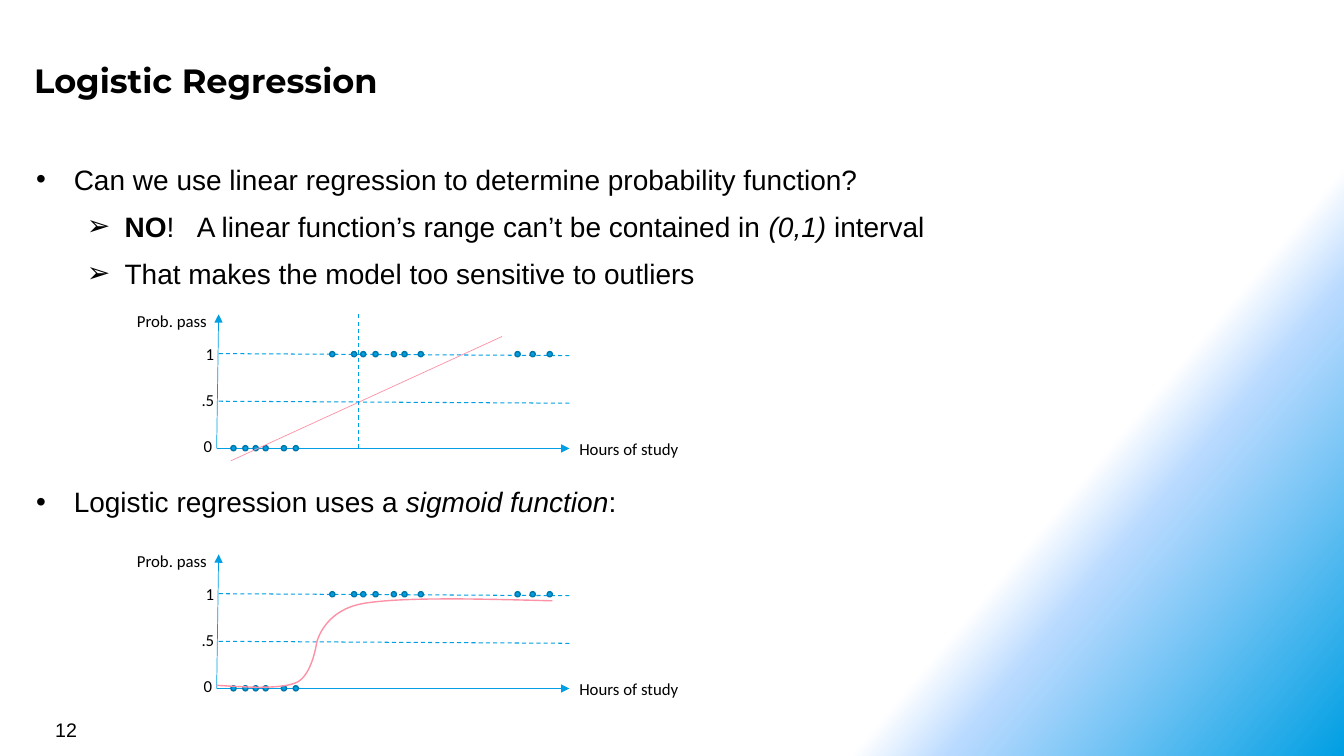
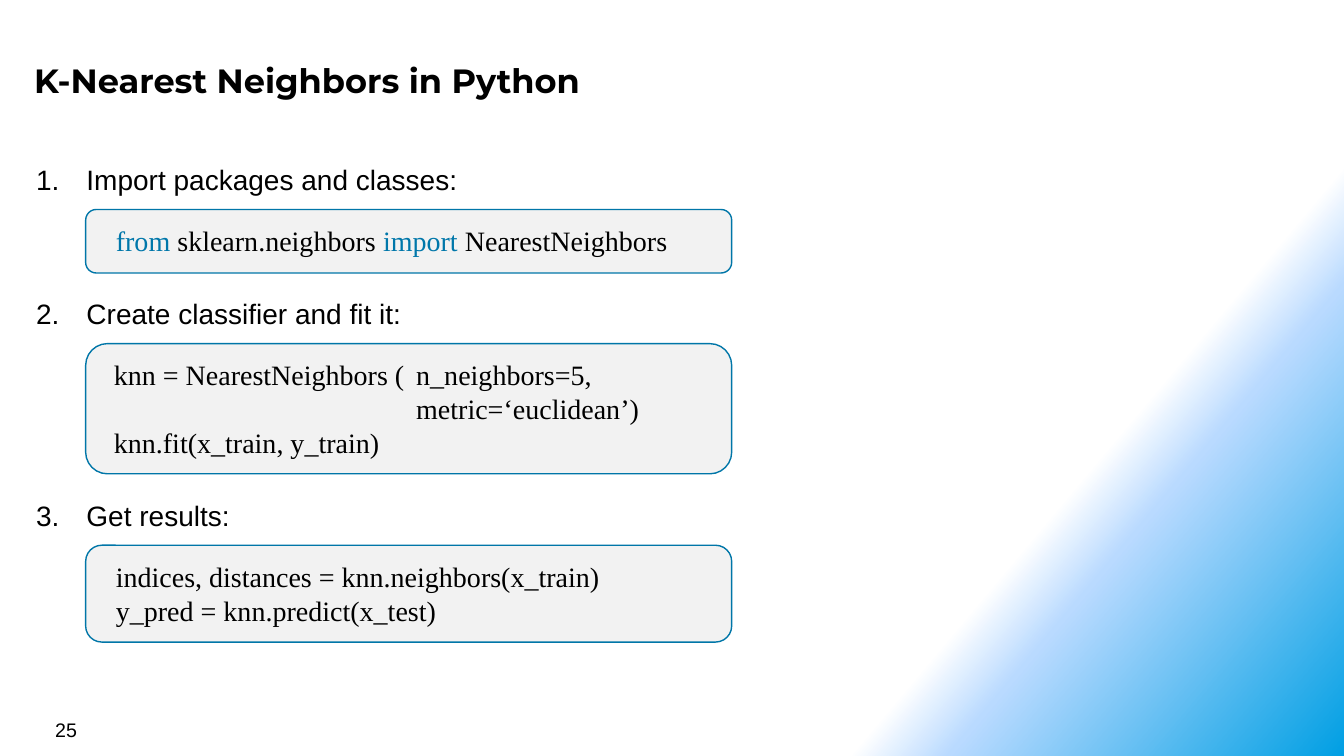
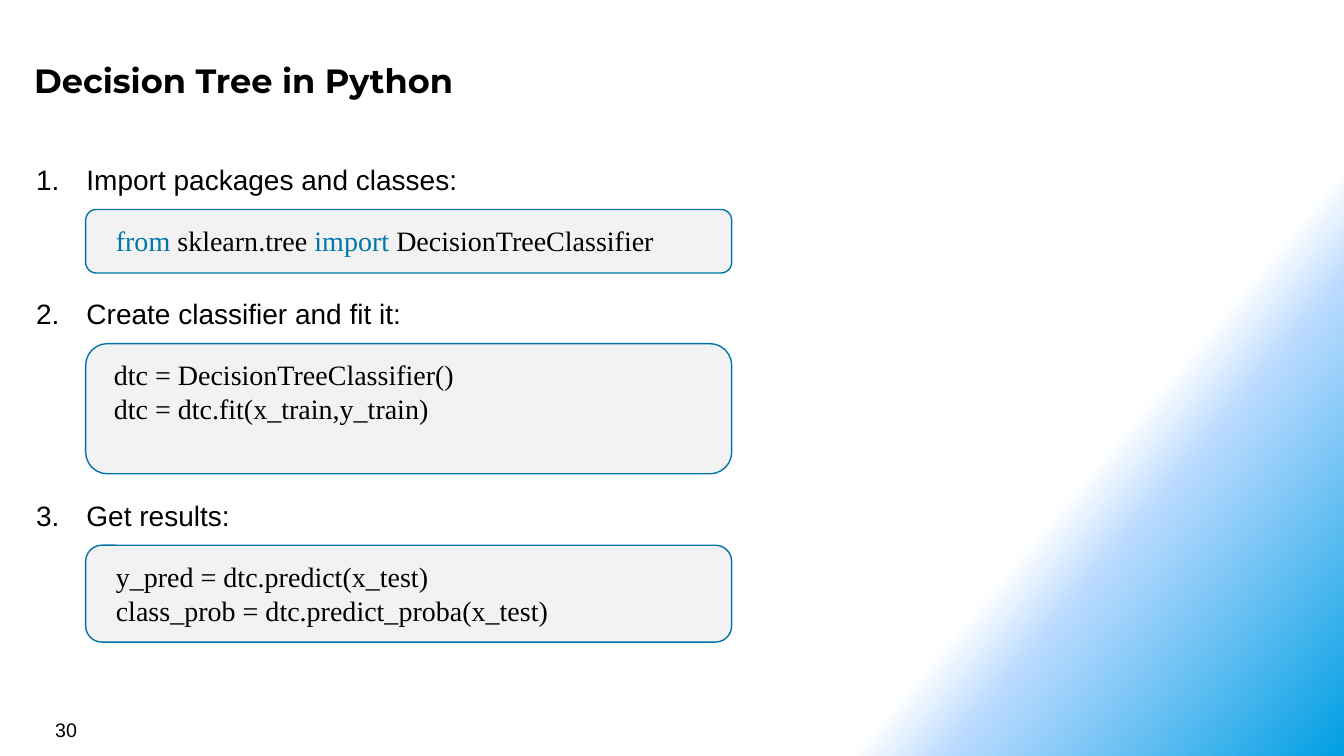
from lxml import etree
from pptx import Presentation
from pptx import util as u
from pptx.dml.color import RGBColor
from pptx.enum import dml, shapes, text
from pptx.oxml import parse_xml
from pptx.oxml.ns import nsdecls, qn

COLOURS = {
    "ink": "000000", "paper": "FFFFFF", "pale": "B9DAFF", "blue": "009FE3",
    "deep": "0076A8", "keyword": "0077AA", "panel": "F2F2F2", "fit": "FE91A6",
}
COLOURS = {name: RGBColor.from_string(value) for name, value in COLOURS.items()}
BODY_BOX = (0.66, 3.96, 32.2, 9.4)


def add_text(slide, box, paragraphs, font, size, wrap=True, inset=0.25):
    """Add a text box; each paragraph is a list of (text, style) runs."""
    frame = slide.shapes.add_textbox(*map(u.Cm, box)).text_frame
    frame.word_wrap = wrap
    frame.margin_left = frame.margin_right = u.Cm(inset)
    frame.margin_top = frame.margin_bottom = u.Cm(min(inset, 0.13))
    for index, runs in enumerate(paragraphs):
        paragraph = frame.add_paragraph() if index else frame.paragraphs[0]
        for words, style in runs:
            run = paragraph.add_run()
            run.text = words
            run.font.name, run.font.size = font, u.Pt(size)
            run.font.bold, run.font.italic = style == "bold", style == "italic"
            run.font.color.rgb = COLOURS["keyword" if style == "keyword" else "ink"]
    return frame


def add_line(slide, start, end, colour, width, dashed=False, arrow=False):
    line = slide.shapes.add_connector(
        shapes.MSO_CONNECTOR.STRAIGHT, *map(u.Cm, (*start, *end)))
    line.line.color.rgb = COLOURS[colour]
    line.line.width = u.Pt(width)
    if dashed:
        line.line.dash_style = dml.MSO_LINE.DASH
    if arrow:
        etree.SubElement(line.line._get_or_add_ln(), qn("a:tailEnd"), type="triangle")
    etree.SubElement(line._element.spPr, qn("a:effectLst"))


presentation = Presentation()
presentation.slide_width, presentation.slide_height = u.Cm(33.87), u.Cm(19.05)

# Shared background: diagonal gradient on the master
master = presentation.slide_master
master.background.fill.solid()
background = master.element.find(".//" + qn("p:bgPr"))
background.replace(background[0], parse_xml(
    f'<a:gradFill {nsdecls("a")} rotWithShape="1"><a:gsLst>'
    f'<a:gs pos="75000"><a:srgbClr val="{COLOURS["paper"]}"/></a:gs>'
    f'<a:gs pos="80000"><a:srgbClr val="{COLOURS["pale"]}"><a:alpha val="50000"/></a:srgbClr></a:gs>'
    f'<a:gs pos="100000"><a:srgbClr val="{COLOURS["blue"]}"/></a:gs>'
    '</a:gsLst><a:lin ang="2400000" scaled="0"/></a:gradFill>'))

# Shared title and page number
slides = []
for title, number in (("Logistic Regression", "12"),
                      ("K-Nearest Neighbors in Python", "25"),
                      ("Decision Tree in Python", "30")):
    slide = presentation.slides.add_slide(presentation.slide_layouts[6])
    frame = add_text(slide, (0.66, 1.3, 31.14, 1.4), [[(title, "bold")]],
                     "Montserrat", 24, inset=0.2)
    frame.margin_top = frame.margin_bottom = u.Cm(0.2)
    add_text(slide, (1.14, 17.96, 7.9, 0.84), [[(number, "")]], "Arial", 14)
    slides.append(slide)
regression_slide, *code_slides = slides

# Logistic regression: bullets as (level, space before, runs)
bullets = [
    (0, 0, [("Can we use linear regression to determine probability function?", "")]),
    (1, 9.6, [("NO", "bold"), ("!\tA linear function’s range can’t be contained in ", ""),
              ("(0,1)", "italic"), (" interval", "")]),
    (1, 9.6, [("That makes the model too sensitive to outliers", "")]),
    (0, 139, [("Logistic regression uses a ", ""), ("sigmoid function", "italic"), (":", "")]),
]
frame = add_text(regression_slide, BODY_BOX, [runs for _, _, runs in bullets], "Arial", 20)
for paragraph, (level, space, _) in zip(frame.paragraphs, bullets):
    paragraph.level = level
    paragraph.space_before = u.Pt(space)
    properties = paragraph._p.get_or_add_pPr()
    properties.set("marL", str(u.Cm((0.95, 2.23)[level])))
    properties.set("indent", str(u.Cm(-0.95)))
    etree.SubElement(properties, qn("a:buFont"), typeface="Arial")
    etree.SubElement(properties, qn("a:buChar"), char="•➢"[level])
    if level:
        tabs = etree.SubElement(properties, qn("a:tabLst"))
        etree.SubElement(tabs, qn("a:tab"), pos=str(u.Cm(4.05)), algn="l")

# Two plots with the same axes, labels and data points
LEFT, RIGHT, HEIGHT = 5.46, 14.35, 3.38
PLOT_TOPS = (7.92, 13.97)
AXIS_LABELS = [("Prob. pass", 3.2, -0.23, 2.29), ("1", 4.93, 0.61, 0.74),
               (".5", 4.83, 1.78, 0.84), ("0", 4.88, 2.93, 0.74),
               ("Hours of study", RIGHT, 3, 3.02)]
POINTS = {  # height in the plot: left edges
    3.31: (5.82, 6.12, 6.38, 6.63, 7.09, 7.39),
    0.94: (8.31, 8.86, 9.09, 9.4, 9.86, 10.13, 10.54, 12.98, 13.36, 13.79),
}
for top in PLOT_TOPS:
    origin = (LEFT, top + HEIGHT)
    for end in ((LEFT + 0.05, top), (RIGHT, top + HEIGHT)):
        add_line(regression_slide, origin, end, "blue", 0.5, arrow=True)
    for level in (0.99, 2.19):
        add_line(regression_slide, (LEFT + 0.05, top + level), (RIGHT, top + level + 0.05),
                 "blue", 0.75, dashed=True)
    for label, left, offset, width in AXIS_LABELS:
        add_text(regression_slide, (left, top + offset, width, 0.76), [[(label, "")]],
                 "Calibri", 12, wrap=False)
    for offset, lefts in POINTS.items():
        for left in lefts:
            dot = regression_slide.shapes.add_shape(
                shapes.MSO_SHAPE.OVAL, u.Cm(left), u.Cm(top + offset), u.Cm(0.13), u.Cm(0.13))
            dot.shadow.inherit = False
            dot.fill.solid()
            dot.fill.fore_color.rgb = COLOURS["blue"]
            dot.line.color.rgb = COLOURS["deep"]
            dot.line.width = u.Pt(1)

# Linear fit with its threshold in the upper plot
add_line(regression_slide, (5.82, 11.61), (12.65, 8.48), "fit", 0.5)
add_line(regression_slide, (9.04, PLOT_TOPS[0] + HEIGHT), (9.04, PLOT_TOPS[0]),
         "blue", 0.75, dashed=True)

# Sigmoid in the lower plot, sampled from cubic curves
SIGMOID = [
    ((5.46, 17.27), (6.25, 17.32), (7.06, 17.37), (7.47, 17.2)),
    ((7.47, 17.2), (7.87, 17.02), (7.98, 16.2), (7.98, 16.2)),
    ((7.98, 16.2), (7.98, 16.2), (8.15, 15.39), (9.14, 15.21)),
    ((9.14, 15.21), (10.13, 15.04), (12.04, 15.09), (13.92, 15.14)),
]
STEPS = 24
curve = []
for controls in SIGMOID:
    for step in range(1, STEPS + 1):
        t = step / STEPS
        weights = ((1 - t) ** 3, 3 * t * (1 - t) ** 2, 3 * t ** 2 * (1 - t), t ** 3)
        curve.append(tuple(u.Cm(sum(w * c for w, c in zip(weights, axis)))
                           for axis in zip(*controls)))
builder = regression_slide.shapes.build_freeform(*map(u.Cm, SIGMOID[0][0]))
builder.add_line_segments(curve, close=False)
sigmoid = builder.convert_to_shape()
sigmoid.shadow.inherit = False
sigmoid.fill.background()
sigmoid.line.color.rgb = COLOURS["fit"]
sigmoid.line.width = u.Pt(1)

# Code slides: numbered steps with a panel of code under each
STEP_TITLES = [("Import packages and classes:", 0), ("Create classifier and fit it:", 72),
               ("Get results:", 120)]
PANELS = [(5.28, 1.6, 2.67), (8.66, 3.28, 2.62), (13.74, 2.44, 2.67)]  # top, height, text left
LISTINGS = [
    [
        [[("from ", "keyword"), ("sklearn.neighbors ", ""), ("import ", "keyword"),
          ("NearestNeighbors", "")]],
        [[("knn = NearestNeighbors (\tn_neighbors=5,", "")], [("\tmetric=‘euclidean’)", "")],
         [("knn.fit(x_train, y_train)", "")]],
        [[("indices, distances = knn.neighbors(x_train)", "")],
         [("y_pred = knn.predict(x_test)", "")]],
    ],
    [
        [[("from ", "keyword"), ("sklearn.tree ", ""), ("import ", "keyword"),
          ("DecisionTreeClassifier", "")]],
        [[("dtc = DecisionTreeClassifier()", "")], [("dtc = dtc.fit(x_train,y_train)", "")]],
        [[("y_pred = dtc.predict(x_test)", "")],
         [("class_prob = dtc.predict_proba(x_test)", "")]],
    ],
]
for slide, listings in zip(code_slides, LISTINGS):
    frame = add_text(slide, BODY_BOX, [[(title, "")] for title, _ in STEP_TITLES], "Arial", 20)
    for paragraph, (_, space) in zip(frame.paragraphs, STEP_TITLES):
        paragraph.space_before = u.Pt(space)
        properties = paragraph._p.get_or_add_pPr()
        properties.set("marL", str(u.Cm(1.27)))
        properties.set("indent", str(u.Cm(-1.27)))
        etree.SubElement(properties, qn("a:buFont"), typeface="Arial")
        etree.SubElement(properties, qn("a:buAutoNum"), type="arabicPeriod")
    for (top, height, text_left), listing in zip(PANELS, listings):
        panel = slide.shapes.add_shape(shapes.MSO_SHAPE.ROUNDED_RECTANGLE,
                                       u.Cm(2.16), u.Cm(top), u.Cm(16.28), u.Cm(height))
        panel.shadow.inherit = False
        panel.fill.solid()
        panel.fill.fore_color.rgb = COLOURS["panel"]
        panel.line.color.rgb = COLOURS["deep"]
        panel.line.width = u.Pt(1)
        frame = add_text(slide, (text_left, top + 0.23, 15.6, height - 0.46), listing,
                         "Times New Roman", 20)
        frame.vertical_anchor = text.MSO_ANCHOR.TOP
        for paragraph in frame.paragraphs:
            if "\t" in paragraph.text:
                tabs = etree.SubElement(paragraph._p.get_or_add_pPr(), qn("a:tabLst"))
                etree.SubElement(tabs, qn("a:tab"), pos=str(u.Cm(7.62)), algn="l")

presentation.save("out.pptx")
